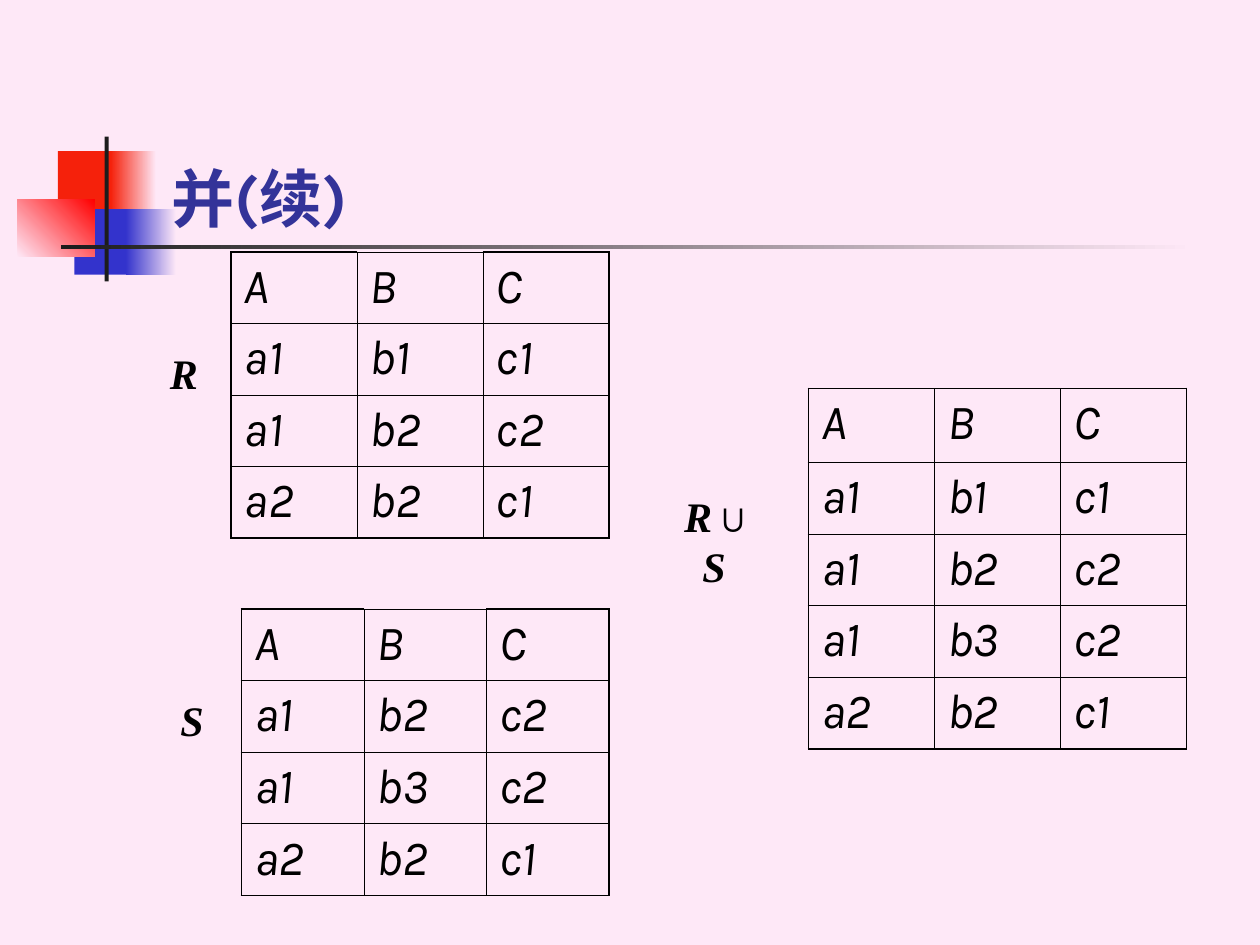
from lxml.etree import SubElement
from pptx import Presentation
from pptx.dml.color import RGBColor
from pptx.enum.shapes import MSO_SHAPE as Preset
from pptx.enum.text import MSO_ANCHOR as Anchor, PP_ALIGN as Align
from pptx.oxml.ns import qn
from pptx.util import Inches, Pt

COLORS = {
    "back": "FEE8F7", "red": "F5210B", "bright": "FF0000", "blue": "3333CC",
    "dark": "1C1C1C", "title": "333399", "ink": "000000",
}
TITLE = {"name": "Karla", "size": Pt(36), "bold": True}
CELL = {"name": "Karla", "size": Pt(28), "italic": True}
LABEL = {"name": "Times New Roman", "size": Pt(24), "bold": True, "italic": True}
THIN, THICK = Pt(0.45), Pt(1.08)


def rgb(name):
    return RGBColor.from_string(COLORS[name])


def units(*counts):
    """Turn grid counts into lengths; the grid has 12 steps to the inch."""
    return [Inches(count / 12) for count in counts]


class SlideBuilder:
    def __init__(self, deck):
        self.page = deck.slides.add_slide(deck.slide_layouts[6])
        fill = self.page.background.fill
        fill.solid()
        fill.fore_color.rgb = rgb("back")

    def style(self, font, values, color):
        for name, value in values.items():
            setattr(font, name, value)
        font.color.rgb = rgb(color)

    def bar(self, place, *colors, angle=0):
        """Draw a rectangle in one colour, or fading between two."""
        shape = self.page.shapes.add_shape(Preset.RECTANGLE, *units(*place))
        shape.shadow.inherit = False
        shape.line.fill.background()
        if len(colors) == 1:
            shape.fill.solid()
            shape.fill.fore_color.rgb = rgb(colors[0])
            return
        shape.fill.gradient()
        shape.fill.gradient_angle = angle
        for stop, color in zip(shape.fill.gradient_stops, colors):
            stop.color.rgb = rgb(color)

    def text(self, place, spans, values, color, anchor, align, wrap):
        box = self.page.shapes.add_textbox(*units(*place))
        frame = box.text_frame
        frame.word_wrap = wrap
        frame.vertical_anchor = anchor
        para = frame.paragraphs[0]
        para.alignment = align
        for words, changes in spans:
            span = para.add_run()
            span.text = words
            self.style(span.font, values | changes, color)

    def label(self, place, *spans):
        self.text(place, spans, LABEL, "ink", Anchor.MIDDLE, Align.CENTER, False)

    def border(self, cell, widths):
        """Add the left, right, top and bottom lines, in that order."""
        props = cell._tc.get_or_add_tcPr()
        for side, width in zip("LRTB", widths):
            line = SubElement(props, qn(f"a:ln{side}"), w=str(int(width)))
            solid = SubElement(line, qn("a:solidFill"))
            SubElement(solid, qn("a:srgbClr"), val=COLORS["ink"])

    def relation(self, left, top, column, rows, head=6.82, row=6.82):
        """Draw a relation with header A B C and one row for each tuple."""
        lines = [line.split() for line in ("A B C", *rows)]
        heights = [head] + [row] * len(rows)
        place = units(left, top, column * 3, sum(heights))
        table = self.page.shapes.add_table(len(lines), 3, *place).table
        table.first_row = table.horz_banding = False
        for grid_column in table.columns:
            grid_column.width = units(column)[0]
        for grid_row, height in zip(table.rows, heights):
            grid_row.height = units(height)[0]
        last = len(lines) - 1
        for r, line in enumerate(lines):
            for c, words in enumerate(line):
                cell = table.cell(r, c)
                # The outline is thick, save above the middle column
                outer = (c == 0, c == 2, r == 0 and c != 1, r == last)
                self.border(cell, [THICK if edge else THIN for edge in outer])
                cell.fill.background()
                span = cell.text_frame.paragraphs[0].add_run()
                span.text = words
                self.style(span.font, CELL, "ink")


def main():
    deck = Presentation()
    deck.slide_width, deck.slide_height = units(120, 90)
    slide = SlideBuilder(deck)

    # Corner ornament and rule
    slide.bar((5.52, 14.4, 5.76, 6.24), "red")
    slide.bar((10.56, 14.4, 4.32, 6.24), "red", "back")
    slide.bar((7.08, 19.92, 5.52, 6.24), "blue")
    slide.bar((12, 19.92, 4.8, 6.24), "blue", "back")
    slide.bar((1.68, 18.96, 7.32, 5.52), "back", "bright", angle=45)
    slide.bar((9.96, 13, 0.4, 13.8), "dark")
    slide.bar((5.8, 23.35, 108, 0.4), "dark", "back")

    # Title
    slide.text((15.12, 8, 102.24, 15), [("并(续)", {})], TITLE, "title",
               Anchor.BOTTOM, Align.LEFT, True)

    # Relations R, R∪S and S
    slide.relation(22, 24, 12, ["a1 b1 c1", "a1 b2 c2", "a2 b2 c1"])
    slide.relation(77, 37, 12,
                   ["a1 b1 c1", "a1 b2 c2", "a1 b3 c2", "a2 b2 c1"], head=7.05)
    slide.relation(23, 58, 11.67, ["a1 b2 c2", "a1 b3 c2", "a2 b2 c1"])

    # Relation names
    slide.label((15, 30, 4, 11), ("R", {}))
    slide.label((16, 63, 4, 11), ("S", {}))
    slide.label((63, 46, 11, 11), ("R", {}), ("∪", {"italic": False}), ("S ", {}))

    deck.save("out.pptx")


if __name__ == "__main__":
    main()
